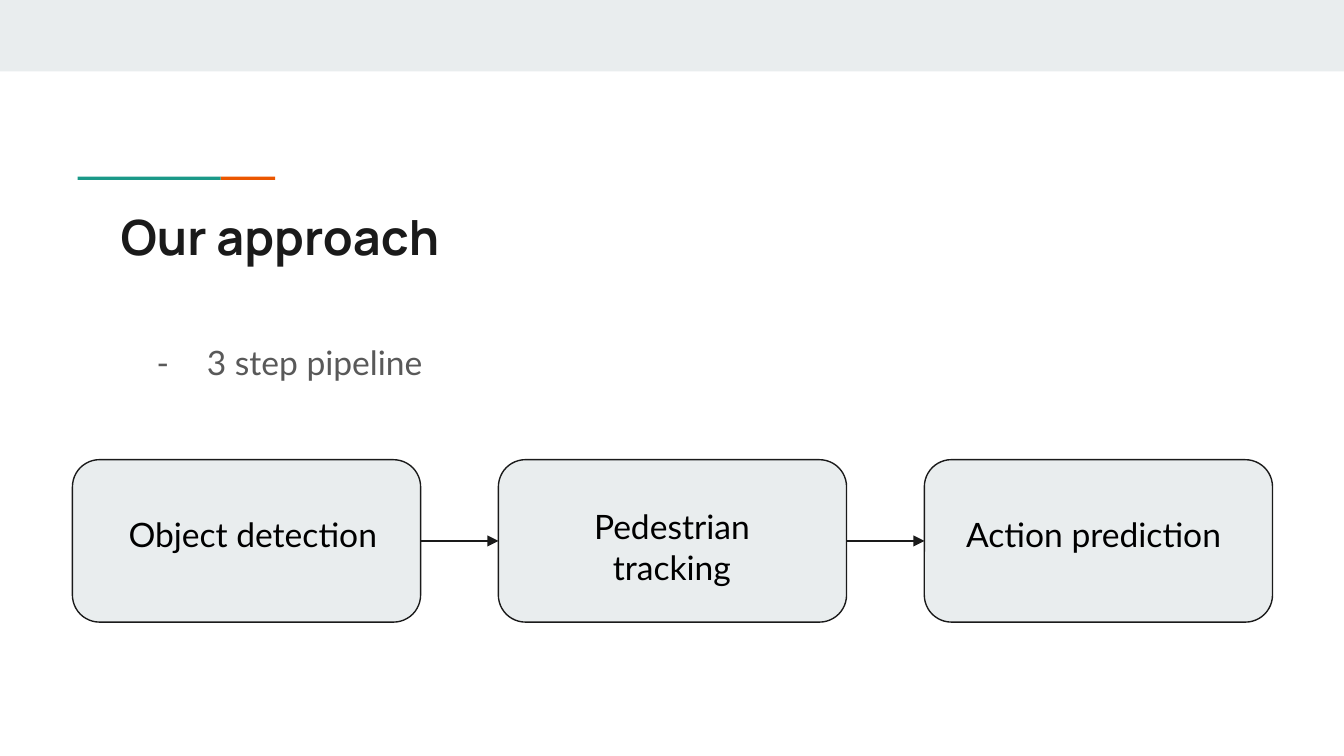
from dataclasses import dataclass

from lxml import etree
from pptx import Presentation
from pptx.dml.color import RGBColor
from pptx.enum.shapes import MSO_CONNECTOR, MSO_SHAPE
from pptx.enum.text import MSO_ANCHOR, PP_ALIGN
from pptx.oxml.ns import qn
from pptx.util import Cm, Pt

RECTANGLE = MSO_SHAPE.RECTANGLE
ROUNDED = MSO_SHAPE.ROUNDED_RECTANGLE
STRAIGHT = MSO_CONNECTOR.STRAIGHT
TOP = MSO_ANCHOR.TOP
LEFT, CENTER = PP_ALIGN.LEFT, PP_ALIGN.CENTER
RIGHT_SIDE, LEFT_SIDE = 3, 1

PALE, INK, GREY, BLACK = "E9EDEE", "1A1A1A", "595959", "000000"
TEAL, ORANGE = "1A9988", "EB5600"
INSET = 0.25
STEP_LEFT, STEP_TOP, STEP_PITCH = 1.37, 8.69, 8.05
STEP_WIDTH, STEP_HEIGHT = 6.58, 3.07


@dataclass
class Box:
    """A place on the slide, in centimetres."""
    left: float
    top: float
    width: float
    height: float

    def lengths(self):
        return Cm(self.left), Cm(self.top), Cm(self.width), Cm(self.height)


@dataclass
class Step:
    label: str
    label_box: Box
    align: PP_ALIGN = LEFT


STEPS = [
    Step("Object detection", Box(2.18, 9.47, 5.36, 2.13)),
    Step("Pedestrian tracking", Box(9.83, 9.32, 5.74, 2.13), CENTER),
    Step("Action prediction", Box(18.01, 9.47, 5.74, 2.41)),
]


def color(value: str) -> RGBColor:
    return RGBColor.from_string(value)


def add_block(slide, kind, box: Box, fill: str, outline: str = ""):
    block = slide.shapes.add_shape(kind, *box.lengths())
    block.shadow.inherit = False
    block.fill.solid()
    block.fill.fore_color.rgb = color(fill)
    if outline:
        block.line.color.rgb = color(outline)
        block.line.width = Pt(0.75)
    else:
        block.line.fill.background()
    return block


def add_text(slide, text: str, box: Box, ink: str, size: float = 18,
             font: str = "Lato", bold: bool = False, align: PP_ALIGN = LEFT,
             dash: bool = False):
    frame = slide.shapes.add_textbox(*box.lengths()).text_frame
    frame.word_wrap = True
    frame.vertical_anchor = TOP
    frame.margin_left = frame.margin_right = Cm(INSET)
    frame.margin_top = frame.margin_bottom = Cm(INSET)
    paragraph = frame.paragraphs[0]
    paragraph.text = text
    paragraph.alignment = align
    if dash:
        paragraph.line_spacing = 2.0
        add_dash(paragraph, ink)
    paragraph.font.name = font
    paragraph.font.size = Pt(size)
    paragraph.font.bold = bold
    paragraph.font.color.rgb = color(ink)


def add_dash(paragraph, ink: str):
    properties = paragraph._p.get_or_add_pPr()
    properties.set("marL", str(Cm(1.27)))
    properties.set("indent", str(Cm(-0.95)))
    bullet_color = etree.SubElement(properties, qn("a:buClr"))
    etree.SubElement(bullet_color, qn("a:srgbClr"), val=ink)
    etree.SubElement(properties, qn("a:buFont"), typeface="Lato")
    etree.SubElement(properties, qn("a:buChar"), char="-")


def add_arrow(slide, source, target):
    arrow = slide.shapes.add_connector(STRAIGHT, 0, 0, 0, 0)
    arrow.begin_connect(source, RIGHT_SIDE)
    arrow.end_connect(target, LEFT_SIDE)
    arrow.line.color.rgb = color(INK)
    arrow.line.width = Pt(0.75)
    etree.SubElement(arrow.line._get_or_add_ln(), qn("a:tailEnd"), type="triangle")
    etree.SubElement(arrow._element.spPr, qn("a:effectLst"))


def main():
    presentation = Presentation()
    presentation.slide_width, presentation.slide_height = Cm(25.4), Cm(14.29)
    slide = presentation.slides.add_slide(presentation.slide_layouts[6])

    # Top band and two-colour accent rule
    add_block(slide, RECTANGLE, Box(0, 0, 25.4, 1.35), PALE)
    add_block(slide, RECTANGLE, Box(4.17, 3.34, 1.03, 0.06), ORANGE)
    add_block(slide, RECTANGLE, Box(1.47, 3.34, 2.7, 0.06), TEAL)

    # Title and bullet
    add_text(slide, "Our approach", Box(2.03, 3.66, 21.36, 1.5), INK,
             size=26, font="Manrope", bold=True)
    add_text(slide, "3 step pipeline", Box(2.39, 5.46, 12.8, 1.83), GREY, dash=True)

    # Pipeline boxes with their labels
    boxes = []
    for index, step in enumerate(STEPS):
        place = Box(STEP_LEFT + index * STEP_PITCH, STEP_TOP, STEP_WIDTH, STEP_HEIGHT)
        boxes.append(add_block(slide, ROUNDED, place, PALE, INK))
        add_text(slide, step.label, step.label_box, BLACK, align=step.align)

    # Arrows between neighbouring steps
    for source, target in zip(boxes, boxes[1:]):
        add_arrow(slide, source, target)

    presentation.save("out.pptx")


if __name__ == "__main__":
    main()
